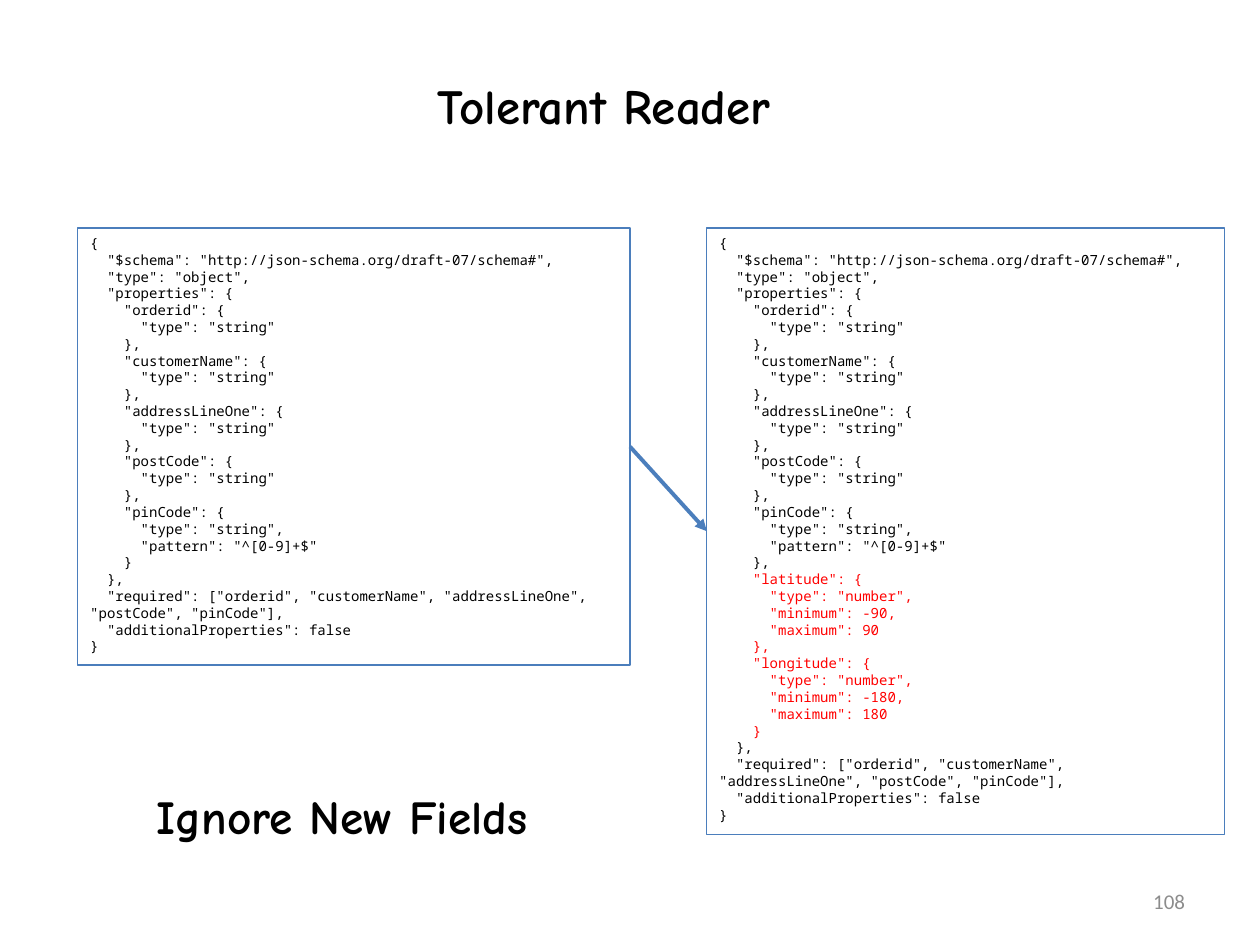
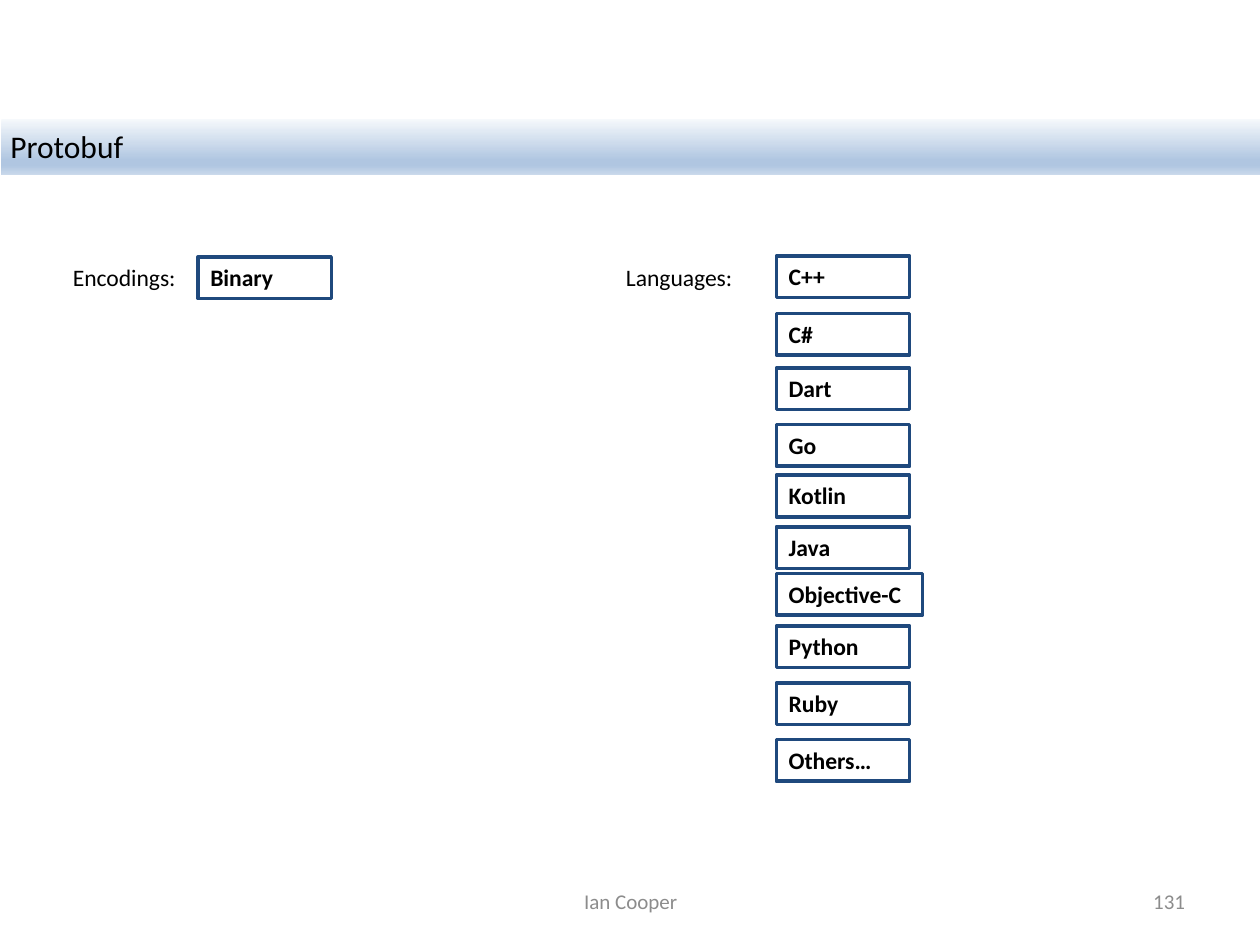
from copy import deepcopy
from dataclasses import dataclass

from lxml.etree import SubElement
from pptx import Presentation
from pptx.dml.color import RGBColor
from pptx.enum.shapes import MSO_CONNECTOR, MSO_SHAPE
from pptx.enum.text import MSO_ANCHOR, PP_ALIGN
from pptx.oxml.ns import qn
from pptx.util import Cm, Pt


@dataclass(frozen=True)
class Theme:
    body_font: str = "Calibri"
    title_font: str = "Comic Neue"
    code_font: str = "Noto Sans Mono"
    text: str = "000000"
    muted: str = "8C8C8C"
    added: str = "FF0000"
    code_border: str = "4B7EBC"
    tag_border: str = "1F497D"
    band_stops: tuple = (
        (0, "F6F9FC"), (0.74, "B0C6E1"), (0.83, "B0C6E1"), (1, "CAD9EB"))
    title_size: float = 28
    message_size: float = 27
    band_size: float = 18
    label_size: float = 13.5
    footer_size: float = 12
    code_size: float = 8
    code_spacing: float = 9.6


SCHEMA_START = """{
  "$schema": "http://json-schema.org/draft-07/schema#",
  "type": "object",
  "properties": {
    "orderid": {
      "type": "string"
    },
    "customerName": {
      "type": "string"
    },
    "addressLineOne": {
      "type": "string"
    },
    "postCode": {
      "type": "string"
    },
    "pinCode": {
      "type": "string",
      "pattern": "^[0-9]+$\""""

NEW_FIELDS = """    "latitude": {
      "type": "number",
      "minimum": -90,
      "maximum": 90
    },
    "longitude": {
      "type": "number",
      "minimum": -180,
      "maximum": 180
    }"""

SCHEMA_END = """  },
  "required": ["orderid", "customerName", "addressLineOne", "postCode", "pinCode"],
  "additionalProperties": false
}"""

LANGUAGES = (
    ("C++", 5.16), ("C#", 6.32), ("Dart", 7.42), ("Go", 8.56),
    ("Kotlin", 9.58), ("Java", 10.62), ("Objective-C", 11.56),
    ("Python", 12.62), ("Ruby", 13.77), ("Others…", 14.91))


class Deck:
    def __init__(self, theme):
        self.theme = theme
        self.presentation = Presentation()
        self.presentation.slide_width = Cm(25.4)
        self.presentation.slide_height = Cm(19.05)
        self.slide = None

    def add_slide(self, number):
        layout = self.presentation.slide_layouts[6]
        self.slide = self.presentation.slides.add_slide(layout)
        self.footer(18.21, 5.93, number, PP_ALIGN.RIGHT)

    def style(self, paragraph, size, font=None, color=None, bold=False,
              align=PP_ALIGN.LEFT):
        paragraph.alignment = align
        paragraph.font.name = font or self.theme.body_font
        paragraph.font.size = Pt(size)
        paragraph.font.bold = bold
        paragraph.font.color.rgb = RGBColor.from_string(color or self.theme.text)

    def text(self, left, top, width, height, content, size, wrap=True,
             anchor=MSO_ANCHOR.TOP, **style):
        shape = self.slide.shapes.add_textbox(
            Cm(left), Cm(top), Cm(width), Cm(height))
        frame = shape.text_frame
        frame.word_wrap = wrap
        frame.vertical_anchor = anchor
        frame.text = content
        self.style(frame.paragraphs[0], size, **style)

    def footer(self, left, width, content, align):
        self.text(left, 17.65, width, 1.02, content, self.theme.footer_size,
                  anchor=MSO_ANCHOR.MIDDLE, color=self.theme.muted, align=align)

    def headline(self, left, top, content, size):
        self.text(left, top, 9.47, 1.44, content, size, bold=True,
                  font=self.theme.title_font, align=PP_ALIGN.CENTER)

    def label(self, left, width, content):
        self.text(left, 5.18, width, 0.84, content, self.theme.label_size,
                  wrap=False)

    def box(self, left, top, width, height, border=None, weight=0):
        shape = self.slide.shapes.add_shape(
            MSO_SHAPE.RECTANGLE, Cm(left), Cm(top), Cm(width), Cm(height))
        shape.shadow.inherit = False
        shape.fill.background()
        if border:
            shape.line.color.rgb = RGBColor.from_string(border)
            shape.line.width = Pt(weight)
        else:
            shape.line.fill.background()
        shape.text_frame.word_wrap = True
        shape.text_frame.vertical_anchor = MSO_ANCHOR.TOP
        return shape

    def tag(self, left, top, content, width=2.69):
        shape = self.box(left, top, width, 0.84, self.theme.tag_border, 2)
        shape.text_frame.text = content
        self.style(shape.text_frame.paragraphs[0], self.theme.label_size,
                   bold=True)

    def band(self, content):
        shape = self.box(0.03, 2.39, 25.37, 1.14)
        shape.fill.gradient()
        shape.fill.gradient_angle = 270
        stop_list = shape.element.spPr.find(".//" + qn("a:gsLst"))
        for stop in list(stop_list):
            stop_list.append(deepcopy(stop))
        for stop, (position, color) in zip(shape.fill.gradient_stops,
                                           self.theme.band_stops):
            stop.position = position
            stop.color.rgb = RGBColor.from_string(color)
        frame = shape.text_frame
        frame.margin_left = frame.margin_right = Cm(0.18)
        frame.margin_top = frame.margin_bottom = Cm(0.18)
        frame.text = content
        self.style(frame.paragraphs[0], self.theme.band_size)

    def code(self, left, width, height, *sections):
        shape = self.box(left, 4.6, width, height, self.theme.code_border, 0.75)
        lines = [(line, color) for source, color in sections
                 for line in source.splitlines()]
        frame = shape.text_frame
        frame.text = "\n".join(line for line, color in lines)
        for paragraph, (line, color) in zip(frame.paragraphs, lines):
            paragraph.line_spacing = Pt(self.theme.code_spacing)
            self.style(paragraph, self.theme.code_size,
                       font=self.theme.code_font, color=color)
        return shape

    def arrow(self, source, target):
        connector = self.slide.shapes.add_connector(
            MSO_CONNECTOR.STRAIGHT, 0, 0, 0, 0)
        connector.begin_connect(source, 3)
        connector.end_connect(target, 1)
        connector.line.color.rgb = RGBColor.from_string(self.theme.code_border)
        connector.line.width = Pt(2.25)
        properties = connector.element.spPr
        line = properties.find(qn("a:ln"))
        SubElement(line, qn("a:tailEnd"), type="triangle")
        SubElement(properties, qn("a:effectLst"))


def add_tolerant_reader(deck):
    theme = deck.theme
    deck.add_slide("108")
    old_schema = deck.code(
        1.57, 11.13, 8.81,
        (SCHEMA_START, theme.text), ("    }", theme.text),
        (SCHEMA_END, theme.text))
    new_schema = deck.code(
        14.25, 10.44, 12.22,
        (SCHEMA_START, theme.text), ("    },", theme.text),
        (NEW_FIELDS, theme.added), (SCHEMA_END, theme.text))
    deck.headline(2.16, 15.75, "Ignore New Fields", theme.message_size)
    deck.headline(7.44, 1.4, "Tolerant Reader", theme.title_size)
    deck.arrow(old_schema, new_schema)


def add_protobuf(deck):
    deck.add_slide("131")
    deck.footer(8.69, 8.05, "Ian Cooper", PP_ALIGN.CENTER)
    deck.band("Protobuf")
    deck.label(1.22, 2.62, "Encodings:")
    deck.tag(3.99, 5.18, "Binary")
    deck.label(12.37, 2.69, "Languages:")
    for language, top in LANGUAGES:
        width = 2.95 if language == "Objective-C" else 2.69
        deck.tag(15.65, top, language, width)


def main():
    deck = Deck(Theme())
    add_tolerant_reader(deck)
    add_protobuf(deck)
    deck.presentation.save("out.pptx")


if __name__ == "__main__":
    main()
